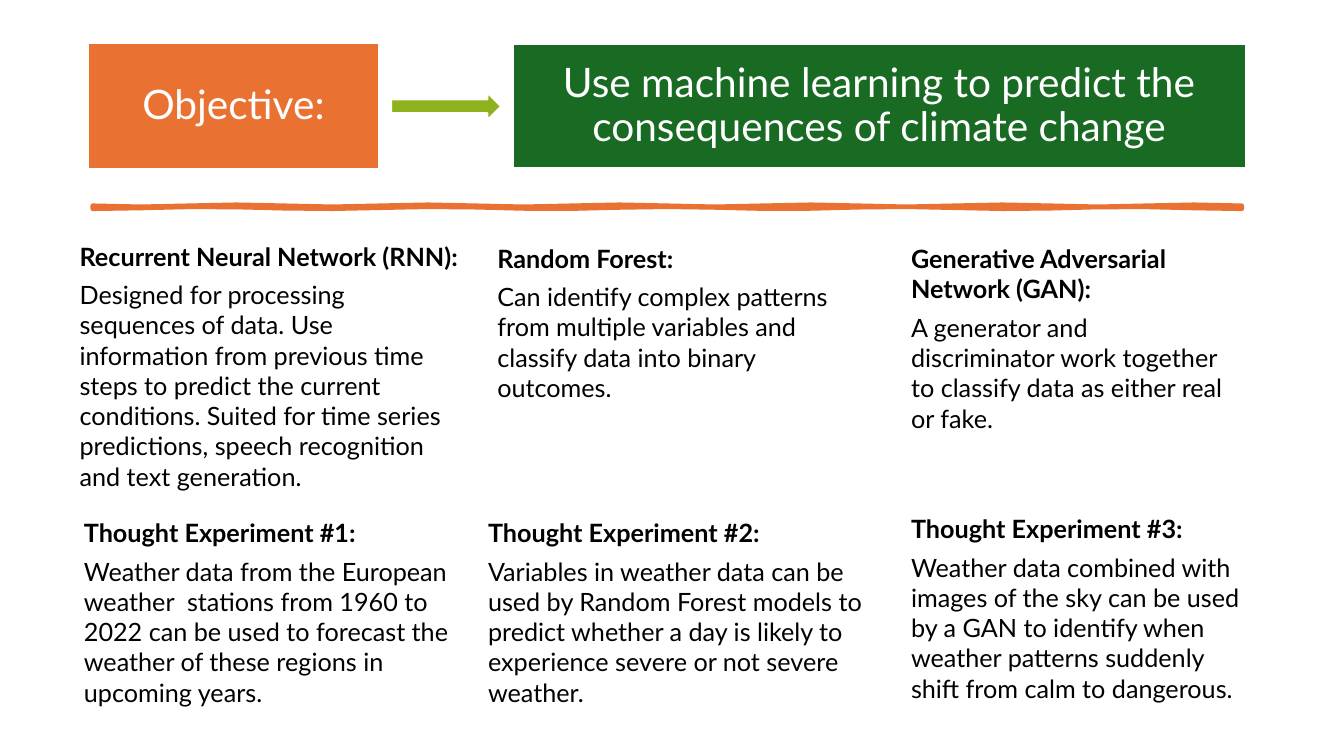
from math import pi, sin

from pptx import Presentation
from pptx.dml.color import RGBColor
from pptx.enum.shapes import MSO_SHAPE
from pptx.enum.text import MSO_ANCHOR, MSO_AUTO_SIZE, PP_ALIGN
from pptx.util import Inches, Pt

CELL = Inches(1) / 12
COLS, ROWS = 160, 90
FONT = "Lato"
ORANGE = RGBColor(0xE9, 0x71, 0x32)
GREEN = RGBColor(0x19, 0x6B, 0x24)
LIME = RGBColor(0x8E, 0xB2, 0x1E)
WHITE = RGBColor(0xFF, 0xFF, 0xFF)
BLACK = RGBColor(0, 0, 0)

TOPICS = [
    ((8.3, 28.08, 47.64, 36), "Recurrent Neural Network (RNN):",
     "Designed for processing sequences of data. Use information from previous "
     "time steps to predict the current conditions. Suited for time series "
     "predictions, speech recognition and text generation."),
    ((58.03, 28.32, 47.16, 25.08), "Random Forest:",
     "Can identify complex patterns from multiple variables and classify data "
     "into binary outcomes."),
    ((107.28, 28.38, 41.04, 20.4), "Generative Adversarial Network (GAN):",
     "A generator and discriminator work together to classify data as either "
     "real or fake."),
]
TESTS = [
    ((8.81, 61, 47.16, 24),
     "Weather data from the European weather  stations from 1960 to 2022 can be "
     "used to forecast the weather of these regions in upcoming years."),
    ((56.92, 61, 47.16, 24),
     "Variables in weather data can be used by Random Forest models to predict "
     "whether a day is likely to experience severe or not severe weather."),
    ((107.28, 60.53, 43.2, 24),
     "Weather data combined with images of the sky can be used by a GAN to "
     "identify when weather patterns suddenly shift from calm to dangerous."),
]


def scale(box):
    return [round(n * CELL) for n in box]


def place(shape, box):
    shape.left, shape.top, shape.width, shape.height = scale(box)


def paint(shape, fill, line, width):
    shape.fill.solid()
    shape.fill.fore_color.rgb = fill
    shape.line.color.rgb = line
    shape.line.width = Pt(width)


def add_run(para, text, size, color, bold=False):
    run = para.add_run()
    run.text = text
    run.font.name = FONT
    run.font.size = Pt(size)
    run.font.bold = bold
    run.font.color.rgb = color


def add_shape(slide, kind, box):
    shape = slide.shapes.add_shape(kind, *scale(box))
    shape.shadow.inherit = False
    return shape


def fill_panel(shape, text, color):
    paint(shape, color, WHITE, 1.5)
    frame = shape.text_frame
    frame.word_wrap = True
    frame.auto_size = MSO_AUTO_SIZE.NONE
    frame.vertical_anchor = MSO_ANCHOR.MIDDLE
    frame.margin_left = frame.margin_right = Inches(0.17)
    frame.margin_top = frame.margin_bottom = Inches(0.17)
    para = frame.paragraphs[0]
    para.alignment = PP_ALIGN.CENTER
    para.line_spacing = 0.9
    add_run(para, text, 29, WHITE)


def draw_head(slide, box):
    left, top, width, height = box
    label = add_shape(slide, MSO_SHAPE.RECTANGLE,
                      (left, top, width * 0.252, height))
    fill_panel(label, "Objective:", ORANGE)
    arrow = add_shape(slide, MSO_SHAPE.RIGHT_ARROW,
                      (left + width * 0.262, top + height * 0.39,
                       width * 0.095, height * 0.22))
    paint(arrow, LIME, WHITE, 1.5)
    title = slide.shapes.title
    place(title, (left + width * 0.367, top + 0.1, width * 0.633, height - 0.2))
    fill_panel(title, "Use machine learning to predict the "
                      "consequences of climate change", GREEN)


def draw_rule(slide, box):
    left, top, width, height = box
    steps = 24

    def edge(base, waves, phase):
        return [(round((left + width * i / steps) * CELL),
                 round((base + 0.12 * sin(2 * pi * waves * i / steps + phase))
                       * CELL))
                for i in range(steps + 1)]

    points = edge(top, 6, 0) + edge(top + height, 5, pi / 2)[::-1]
    pen = slide.shapes.build_freeform(*points[0])
    pen.add_line_segments(points[1:], close=True)
    rule = pen.convert_to_shape()
    rule.shadow.inherit = False
    paint(rule, ORANGE, ORANGE, 3.25)


def draw_note(slide, box, head, body):
    frame = slide.shapes.add_textbox(*scale(box)).text_frame
    frame.word_wrap = True
    frame.auto_size = MSO_AUTO_SIZE.SHAPE_TO_FIT_TEXT
    for para, text, bold in ((frame.paragraphs[0], head, True),
                             (frame.add_paragraph(), body, False)):
        para.space_after = Pt(6)
        add_run(para, text, 18, BLACK, bold)


def main():
    deck = Presentation()
    deck.slide_width, deck.slide_height = scale((COLS, ROWS))
    slide = deck.slides.add_slide(deck.slide_layouts[5])
    draw_rule(slide, (11.04, 24.5, 136.8, 0.24))
    for box, head, body in TOPICS:
        draw_note(slide, box, head, body)
    for number, (box, body) in enumerate(TESTS, 1):
        draw_note(slide, box, f"Thought Experiment #{number}:", body)
    draw_head(slide, (10.44, 5.16, 137.9, 15))
    deck.save("out.pptx")


if __name__ == "__main__":
    main()
